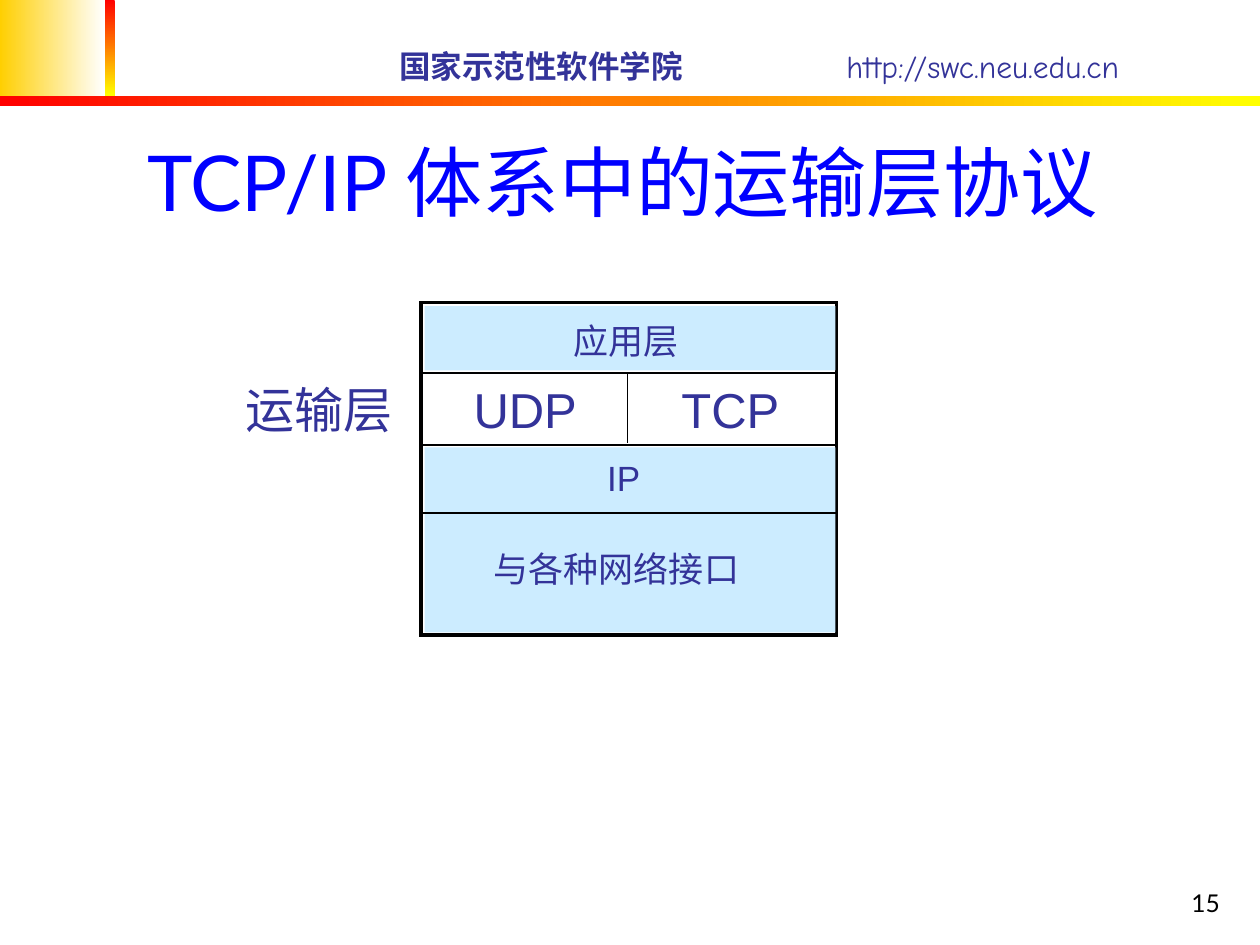
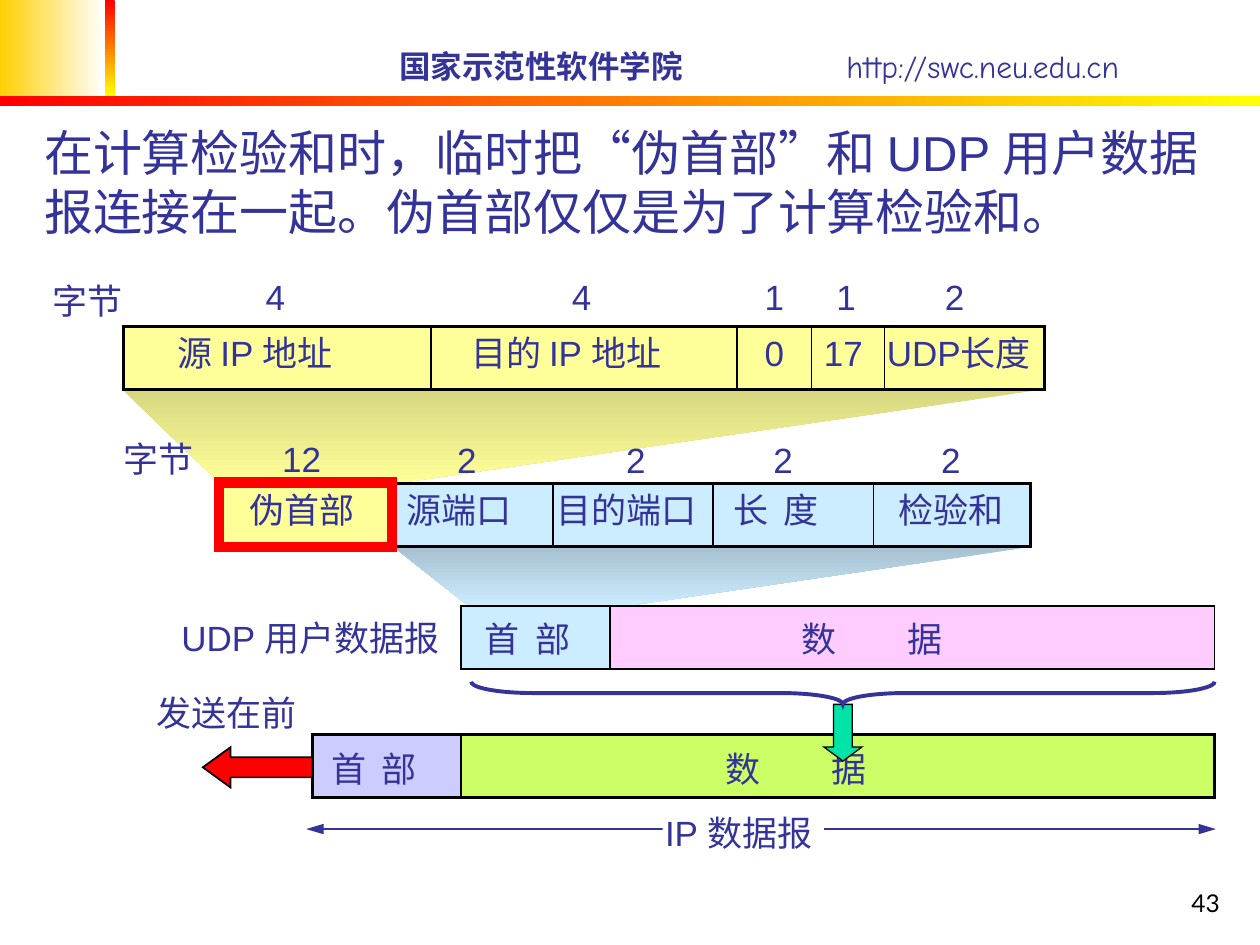
"""Build two slides on the transport layer and the UDP checksum."""
from typing import NamedTuple, Optional

from lxml.etree import SubElement
from pptx import Presentation
from pptx.dml.color import RGBColor
from pptx.enum.shapes import MSO_CONNECTOR as Link, MSO_SHAPE as Kind
from pptx.enum.text import MSO_ANCHOR as Anchor, MSO_AUTO_SIZE as Auto, PP_ALIGN as Align
from pptx.oxml.ns import qn
from pptx.util import Emu, Pt

PX = 9144
WIDE, HIGH = 1000, 750
BLACK = RGBColor(0x00, 0x00, 0x00)
WHITE = RGBColor(0xFF, 0xFF, 0xFF)
NAVY = RGBColor(0x33, 0x33, 0x99)
BLUE = RGBColor(0x00, 0x00, 0xFF)
RED = RGBColor(0xFF, 0x00, 0x00)
YELLOW = RGBColor(0xFF, 0xFF, 0x00)
GOLD = RGBColor(0xFF, 0xCF, 0x01)
SKY = RGBColor(0xCC, 0xEC, 0xFF)
STEEL = RGBColor(0xA6, 0xC0, 0xD0)
CREAM = RGBColor(0xFF, 0xFF, 0x99)
OLIVE = RGBColor(0xD7, 0xD7, 0x81)
LILAC = RGBColor(0xCC, 0xCC, 0xFF)
LIME = RGBColor(0xCC, 0xFF, 0x66)
PINK = RGBColor(0xFF, 0xCC, 0xFF)
MINT = RGBColor(0x00, 0xE4, 0xA8)
ARIAL, LATO, COMIC = "Arial", "Lato", "Comic Neue"
RIGHT, DOWN = 0, 270


class Box(NamedTuple):
    x: int
    y: int
    w: int
    h: int


class Block(NamedTuple):
    box: Box
    fill: Optional[RGBColor]
    line: Optional[RGBColor] = BLACK
    width: float = 1.5
    kind: Kind = Kind.RECTANGLE


class Band(NamedTuple):
    box: Box
    start: RGBColor
    end: RGBColor
    angle: int


class Beam(NamedTuple):
    points: list
    start: RGBColor
    end: RGBColor


class Label(NamedTuple):
    box: Box
    text: str
    size: int = 20
    font: str = ARIAL
    tab: int = 0


def place(box: Box) -> list:
    return [Emu(n * PX) for n in box]


def draw(slide, item: Block):
    shape = slide.shapes.add_shape(item.kind, *place(item.box))
    shape.shadow.inherit = False
    if item.fill is None:
        shape.fill.background()
    else:
        shape.fill.solid()
        shape.fill.fore_color.rgb = item.fill
    if item.line is None:
        shape.line.fill.background()
    else:
        shape.line.color.rgb = item.line
        shape.line.width = Pt(item.width)
        SubElement(shape.line._get_or_add_ln(), qn("a:miter"), lim="800000")
    return shape


def blend(shape, start: RGBColor, end: RGBColor, angle: int) -> None:
    shape.shadow.inherit = False
    shape.line.fill.background()
    shape.fill.gradient()
    shape.fill.gradient_angle = angle
    for stop, tone in zip(shape.fill.gradient_stops, (start, end)):
        stop.color.rgb = tone


def cast(slide, beam: Beam) -> None:
    first, *rest = beam.points
    path = slide.shapes.build_freeform(*first, scale=float(PX))
    path.add_line_segments(rest, close=True)
    blend(path.convert_to_shape(), beam.start, beam.end, DOWN)


def rule(slide, x1: int, y1: int, x2: int, y2: int, width: float,
         color: RGBColor = BLACK, arrows: bool = False) -> None:
    ends = [Emu(n * PX) for n in (x1, y1, x2, y2)]
    line = slide.shapes.add_connector(Link.STRAIGHT, *ends)
    line.line.color.rgb = color
    line.line.width = Pt(width)
    if arrows:
        for tag in ("a:headEnd", "a:tailEnd"):
            SubElement(line.line._get_or_add_ln(), qn(tag), type="triangle", len="lg")
    SubElement(line._element.spPr, qn("a:effectLst"))


def style(para, size: int, color: RGBColor, font: Optional[str], tab: int = 0) -> None:
    if tab:
        stops = SubElement(para._p.get_or_add_pPr(), qn("a:tabLst"))
        SubElement(stops, qn("a:tab"), pos=str(tab * PX), algn="l")
    para.font.size = Pt(size)
    para.font.color.rgb = color
    if font:
        para.font.name = font


def write(slide, item: Label, color: RGBColor = NAVY):
    frame = slide.shapes.add_textbox(*place(item.box)).text_frame
    frame.word_wrap = True
    frame.margin_right = 0
    para = frame.paragraphs[0]
    para.text = item.text
    style(para, item.size, color, item.font, item.tab)
    return frame


def head(slide, box: Box, size: int, color: RGBColor, align: Align,
         anchor: Anchor, runs: list) -> None:
    title = slide.shapes.title
    title.left, title.top, title.width, title.height = place(box)
    frame = title.text_frame
    frame.auto_size = Auto.NONE
    frame.word_wrap = True
    frame.vertical_anchor = anchor
    para = frame.paragraphs[0]
    para.alignment = align
    style(para, size, color, None)
    for text, font in runs:
        run = para.add_run()
        run.text = text
        run.font.name = font


BANDS = [
    Band(Box(0, 0, 83, 76), GOLD, WHITE, RIGHT),
    Band(Box(83, 0, 8, 76), RED, YELLOW, DOWN),
    Band(Box(0, 76, WIDE, 8), RED, YELLOW, RIGHT),
]


def start(deck, number: int):
    slide = deck.slides.add_slide(deck.slide_layouts[5])
    for band in BANDS:
        shape = slide.shapes.add_shape(Kind.RECTANGLE, *place(band.box))
        blend(shape, band.start, band.end, band.angle)
    frame = slide.shapes.add_textbox(*place(Box(307, 32, 670, 40))).text_frame
    frame.word_wrap = True
    frame.vertical_anchor = Anchor.MIDDLE
    para = frame.paragraphs[0]
    style(para, 18, NAVY, COMIC, 355)
    for text, bold in (("国家示范性软件学院", True), ("\thttp://swc.neu.edu.cn", False)):
        run = para.add_run()
        run.text = text
        run.font.bold = bold
    page = write(slide, Label(Box(770, 683, 208, 50), str(number), 14, LATO), BLACK)
    page.margin_right = Emu(10 * PX)
    page.vertical_anchor = Anchor.BOTTOM
    page.paragraphs[0].alignment = Align.RIGHT
    return slide


def stack(deck) -> None:
    slide = start(deck, 15)
    head(slide, Box(18, 25, 953, 160), 44, BLUE, Align.CENTER, Anchor.BOTTOM,
         [("TCP/IP 体系中的运输层协议", LATO)])
    draw(slide, Block(Box(334, 240, 330, 264), WHITE, width=2))
    for y, h in ((243, 51), (355, 147)):
        draw(slide, Block(Box(337, y, 326, h), SKY, None))
    for y in (296, 353, 407):
        rule(slide, 334, y, 664, y, 1)
    rule(slide, 498, 297, 498, 352, 1)
    for item in (
        Label(Box(445, 249, 103, 43), "应用层"),
        Label(Box(366, 296, 102, 56), "UDP", 28),
        Label(Box(531, 296, 98, 56), "TCP", 28),
        Label(Box(472, 357, 46, 43), "IP"),
        Label(Box(382, 430, 252, 43), "与各种网络接口"),
        Label(Box(185, 296, 136, 57), "运输层", 28, LATO),
    ):
        write(slide, item)


BEAMS = [
    Beam([(312, 434), (818, 434), (497, 481), (372, 481)], STEEL, SKY),
    Beam([(97, 309), (828, 309), (312, 384), (175, 384)], OLIVE, CREAM),
]
BLOCKS = [
    Block(Box(98, 259, 731, 50), CREAM),
    Block(Box(311, 384, 507, 50), SKY),
    Block(Box(174, 383, 137, 51), CREAM, RED, 6),
    Block(Box(366, 481, 118, 50), SKY, width=1),
    Block(Box(484, 481, 480, 50), PINK, width=1),
    Block(Box(366, 583, 598, 50), LIME),
    Block(Box(248, 583, 118, 50), LILAC),
]
ROWS = {
    214: [(201, 35, "4"), (444, 35, "4"), (597, 35, "1"), (654, 35, "1"), (740, 35, "2")],
    217: [(32, 75, "字节")],
    258: [(131, 164, "源 IP 地址"), (364, 192, "目的 IP 地址"), (597, 35, "0"),
          (644, 51, "17"), (694, 141, "UDP长度")],
    342: [(88, 75, "字节"), (214, 51, "12")],
    343: [(353, 35, "2"), (487, 35, "2"), (604, 35, "2"), (737, 35, "2")],
    383: [(188, 103, "伪首部"), (313, 103, "源端口"), (432, 131, "目的端口"),
          (572, 103, "长\t度"), (703, 103, "检验和")],
    484: [(134, 232, "UDP 用户数据报")],
    485: [(375, 103, "首\t部"), (626, 201, "数\t据")],
    544: [(114, 131, "发送在前")],
    588: [(253, 103, "首\t部"), (566, 201, "数\t据")],
    639: [(518, 144, "IP 数据报")],
}
TABS = {103: 40, 201: 84}


def datagram(deck) -> None:
    slide = start(deck, 43)
    head(slide, Box(25, 92, 949, 104), 28, NAVY, Align.LEFT, Anchor.TOP,
         [("在计算检验和时，临时把“伪首部”和 UDP 用户数据报连接在一起。", ARIAL),
          ("伪首部仅仅是为了计算检验和。", LATO)])
    for beam in BEAMS:
        cast(slide, beam)
    for block in BLOCKS:
        draw(slide, block)
    for top, edges in ((259, (342, 585, 644, 702)), (384, range(439, 694, 127))):
        for x in edges:
            rule(slide, x, top, x, top + 50, 0.75)
    rule(slide, 243, 658, 965, 658, 0.75, NAVY, True)
    draw(slide, Block(Box(526, 641, 128, 32), WHITE, None))
    for y, row in ROWS.items():
        for x, w, text in row:
            tab = TABS[w] if "\t" in text else 0
            write(slide, Label(Box(x, y, w, 44), text, tab=tab))
    left = draw(slide, Block(Box(161, 593, 87, 32), RED, width=1, kind=Kind.LEFT_ARROW))
    left.adjustments[1] = 0.69
    down = draw(slide, Block(Box(654, 559, 30, 45), MINT, width=0.75, kind=Kind.DOWN_ARROW))
    down.adjustments[1] = 0.37
    brace = draw(slide, Block(Box(660, 255, 18, 590), None, NAVY, 2.25, Kind.LEFT_BRACE))
    brace.adjustments[0] = 2.72
    brace.rotation = 270


def main() -> None:
    deck = Presentation()
    deck.slide_width, deck.slide_height = Emu(WIDE * PX), Emu(HIGH * PX)
    stack(deck)
    datagram(deck)
    deck.save("out.pptx")


if __name__ == "__main__":
    main()
